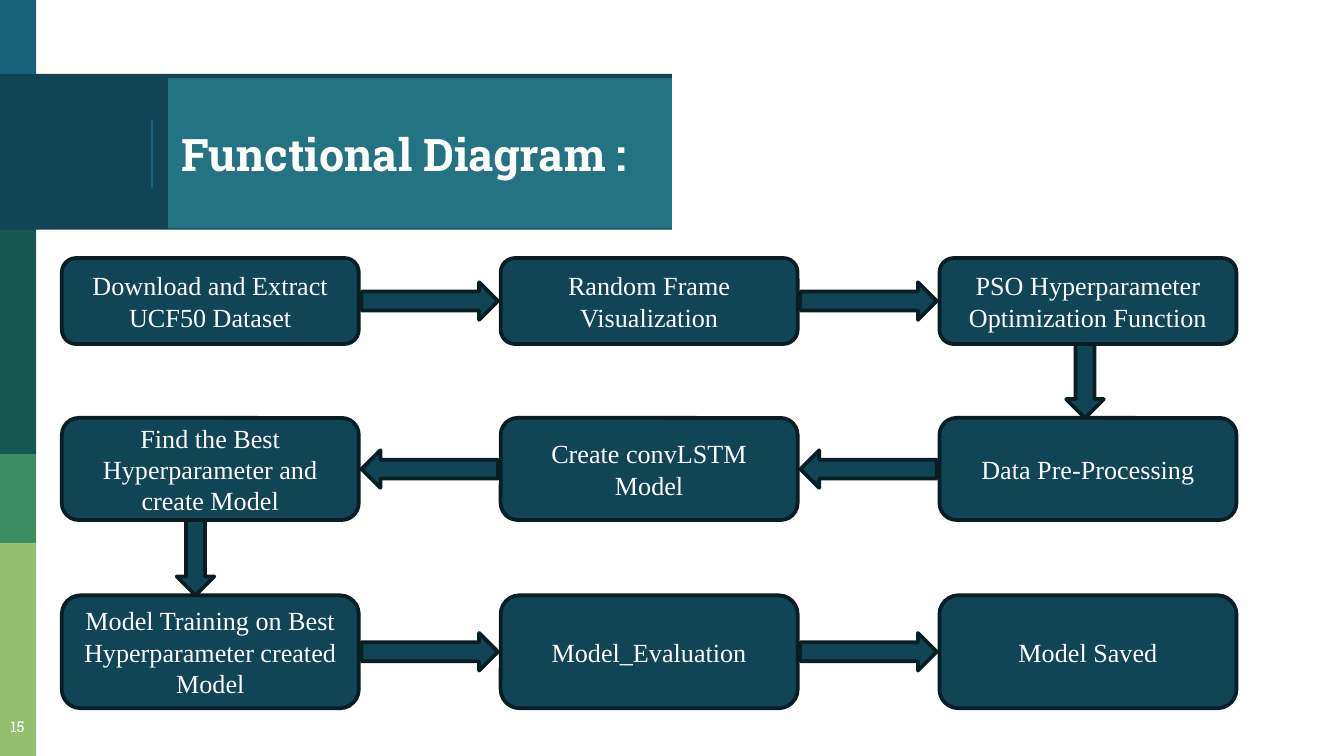
from lxml import etree
from pptx import Presentation
from pptx import util as u
from pptx.dml.color import RGBColor
from pptx.enum import shapes, text
from pptx.oxml.ns import qn

WHITE = RGBColor(0xFF, 0xFF, 0xFF)
BLUE = RGBColor(0x18, 0x63, 0x7B)
NAVY = RGBColor(0x11, 0x44, 0x54)
TEAL = RGBColor(0x24, 0x73, 0x82)
PINE = RGBColor(0x16, 0x57, 0x51)
GREEN = RGBColor(0x3B, 0x8D, 0x61)
LIME = RGBColor(0x94, 0xBF, 0x6E)
EDGE = RGBColor(0x07, 0x1E, 0x25)

WIDE = 10
HIGH = WIDE * 9 / 16
SLAB, SERIF = "Roboto Slab", "Times New Roman"
KIND = shapes.MSO_SHAPE

# Steps by grid row; the middle row runs right to left
STEPS = [
    ["Download and Extract UCF50 Dataset", "Random Frame Visualization",
     "PSO Hyperparameter Optimization Function"],
    ["Find the Best Hyperparameter and create Model",
     "Create convLSTM Model", "Data Pre-Processing"],
    ["Model Training on Best Hyperparameter created Model",
     "Model_Evaluation", "Model Saved"],
]
ROWS = [(1.92, 0.64), (3.11, 0.76), (4.43, 0.84)]  # top, height
BACK = 1           # row that runs right to left
DROPS = [(0, 2, 0.49), (1, 0, 0.45)]  # row, column, share of step width
STEP, THICK, GAP = 2.21, 0.28, 0.02


def put(slide, kind, box, fill, edge=None):
    shape = slide.shapes.add_shape(kind, *map(u.Inches, box))
    shape.shadow.inherit = False
    shape.fill.solid()
    shape.fill.fore_color.rgb = fill
    if edge is None:
        shape.line.fill.background()
    else:
        shape.line.color.rgb = edge
        shape.line.width = u.Pt(2)
    return shape


def write(shape, words, font, size, align, inset=None, bold=False,
          anchor=text.MSO_ANCHOR.MIDDLE):
    frame = shape.text_frame
    frame.word_wrap = True
    frame.vertical_anchor = anchor
    if inset is not None:
        frame.margin_left = frame.margin_right = u.Inches(inset)
        frame.margin_top = frame.margin_bottom = u.Inches(inset)
    para = frame.paragraphs[0]
    para.text = words
    para.alignment = align
    para.font.name = font
    para.font.size = u.Pt(size)
    para.font.bold = bold
    para.font.color.rgb = WHITE


def side(slide, box):
    """Colour strip down the left edge, with the page number."""
    left, top, width, height = box
    cuts = [0, 0.55, 1.7, 3.38, 4.04, height]
    for color, start, end in zip([BLUE, NAVY, PINE, GREEN, LIME],
                                 cuts, cuts[1:]):
        # The banner covers the navy part of the strip
        if color != NAVY:
            put(slide, KIND.RECTANGLE,
                (left, top + start, width, end - start), color)
    page = slide.shapes.add_textbox(
        *map(u.Inches, (left - 0.06, top + height - 0.35, 0.38, 0.35)))
    write(page, "15", SLAB, 8, text.PP_ALIGN.CENTER, 0.1,
          anchor=text.MSO_ANCHOR.TOP)


def banner(slide, box):
    """Dark band with a thin rule and the title panel."""
    left, top, width, height = box
    put(slide, KIND.RECTANGLE, box, NAVY)
    rule = slide.shapes.add_connector(
        shapes.MSO_CONNECTOR.STRAIGHT,
        *map(u.Inches, (left + 1.13, top + 0.34, left + 1.13, top + 0.85)))
    rule.line.color.rgb = BLUE
    rule.line.width = u.Pt(0.75)
    etree.SubElement(rule._element.spPr, qn("a:effectLst"))
    title = put(slide, KIND.RECTANGLE,
                (left + width / 4, top + 0.03, width * 3 / 4, height - 0.04),
                TEAL)
    write(title, "Functional Diagram :", SLAB, 24, text.PP_ALIGN.LEFT,
          0.1, bold=True)


def flow(slide, left, width):
    """Three rows of steps, joined by block arrows in a snake."""
    pitch = (width - STEP) / 2
    space = pitch - STEP
    # Steps
    for names, (top, height) in zip(STEPS, ROWS):
        for col, name in enumerate(names):
            step = put(slide, KIND.ROUNDED_RECTANGLE,
                       (left + col * pitch, top, STEP, height), NAVY, EDGE)
            write(step, name, SERIF, 14, text.PP_ALIGN.CENTER)
    # Arrows along the rows
    for row, (top, height) in enumerate(ROWS):
        for col in range(2):
            arrow = put(slide, KIND.RIGHT_ARROW,
                        (left + col * pitch + STEP + GAP,
                         top + (height - THICK) / 2,
                         space - 2 * GAP, THICK), NAVY, EDGE)
            arrow.rotation = 180 if row == BACK else 0
    # Arrows down to the next row
    for row, col, share in DROPS:
        foot = sum(ROWS[row])
        put(slide, KIND.DOWN_ARROW,
            (left + col * pitch + STEP * share - THICK / 2, foot,
             THICK, ROWS[row + 1][0] - foot), NAVY, EDGE)


def main():
    deck = Presentation()
    deck.slide_width, deck.slide_height = u.Inches(WIDE), u.Inches(HIGH)
    slide = deck.slides.add_slide(deck.slide_layouts[6])
    side(slide, (0, 0, 0.27, HIGH))
    banner(slide, (0, 0.55, WIDE / 2, 1.16))
    flow(slide, 0.46, 8.74)
    deck.save("out.pptx")


if __name__ == "__main__":
    main()
